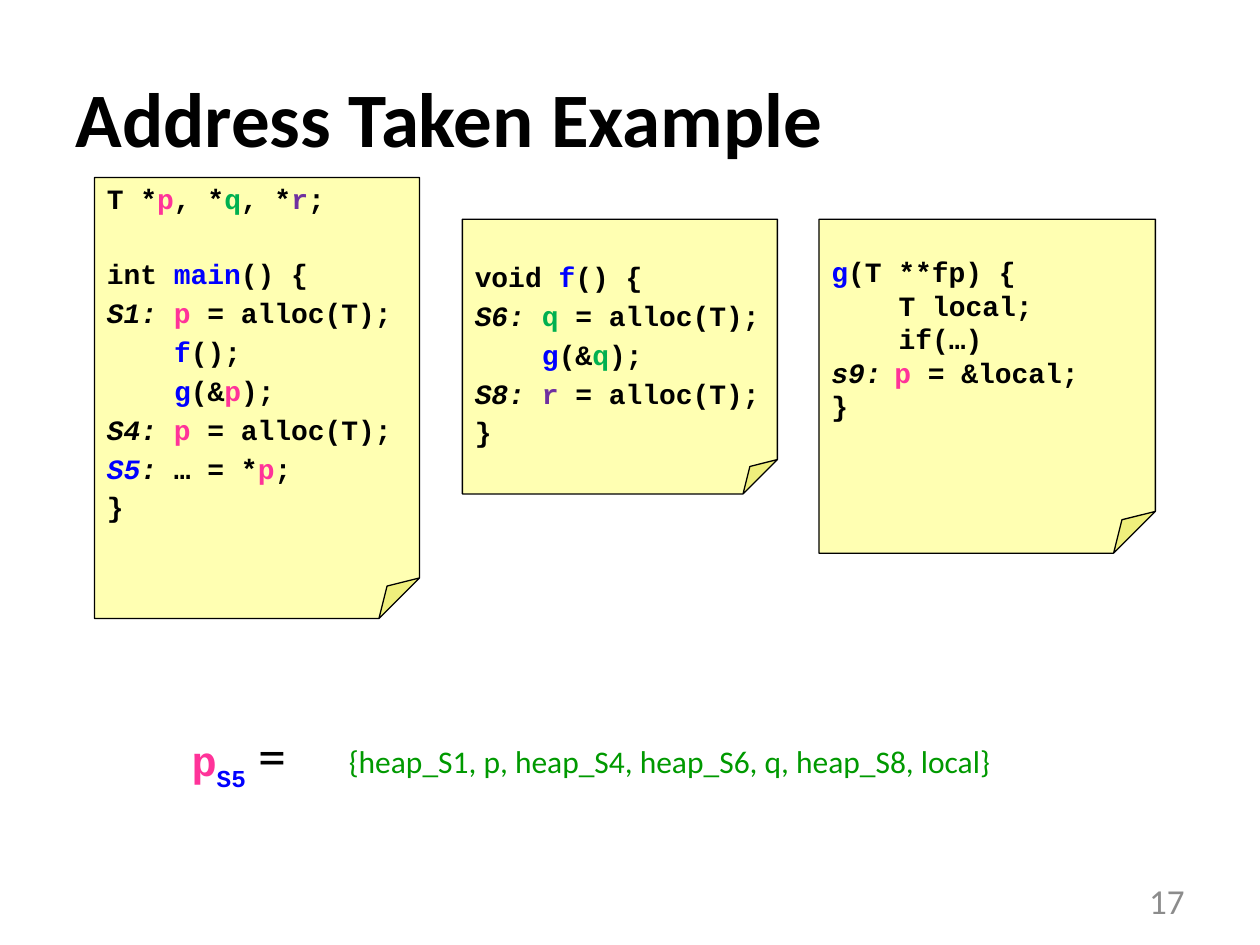
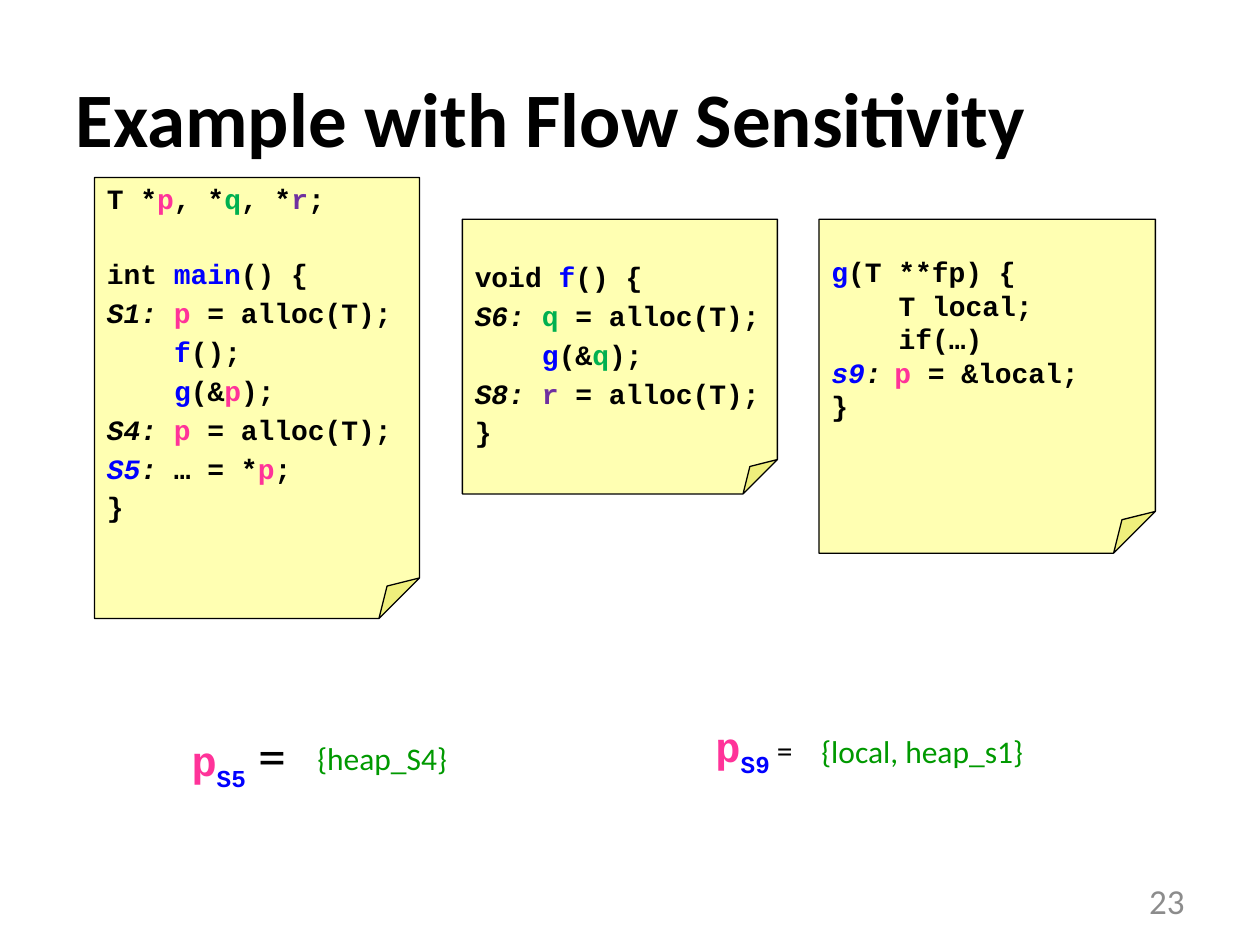
import pptx
import pptx.util
import pptx.dml.color
import pptx.enum.shapes
import pptx.enum.text
import pptx.oxml
import pptx.oxml.ns

Inches, Pt = pptx.util.Inches, pptx.util.Pt
RGBColor = pptx.dml.color.RGBColor
ALIGN, ANCHOR = pptx.enum.text.PP_ALIGN, pptx.enum.text.MSO_ANCHOR
FOLD = pptx.enum.shapes.MSO_SHAPE.FOLDED_CORNER
NS = pptx.oxml.ns.nsdecls("a")

BLACK = RGBColor(0x00, 0x00, 0x00)
BLUE = RGBColor(0x00, 0x00, 0xFF)
PINK = RGBColor(0xFF, 0x33, 0x99)
GREEN = RGBColor(0x00, 0xB0, 0x50)
VIOLET = RGBColor(0x70, 0x30, 0xA0)
YELLOW = RGBColor(0xFF, 0xFF, 0x00)
LEAF = RGBColor(0x00, 0x99, 0x00)
GREY = RGBColor(0x8C, 0x8C, 0x8C)
SANS, MONO = "Calibri", "Courier New"

# Between bars, the first letter of a code run names its colour and slant
STYLES = {"P": (PINK, False), "G": (GREEN, False), "V": (VIOLET, False),
          "B": (BLUE, False), "I": (BLACK, True), "J": (BLUE, True)}
CELL = 0.6 * 16 / 72  # width of one code character, in inches

MAIN = [  # columns of indent, points before, code
    (0, 3, "T *|Pp|, *|Gq|, *|Vr|;"),
    (0, 24, "int |Bmain|() {"),
    (0, 3, "|IS1: ||Pp| = alloc(T);"),
    (4, 3, "|Bf|();"),
    (4, 3, "|Bg|(&|Pp|);"),
    (0, 3, "|IS4: ||Pp| = alloc(T);"),
    (0, 3, "|JS5||I: |… = *|Pp|;"),
    (0, 3, "}"),
]
CALL = [
    (0, 3, "void |Bf|() {"),
    (0, 3, "|IS6: ||Gq| = alloc(T);"),
    (4, 3, "|Bg|(&|Gq|);"),
    (0, 3, "|IS8: ||Vr| = alloc(T);"),
    (0, 3, "}"),
]
STORE = [
    (0, 0, "|Bg|(T **fp) {"),
    (4, 0, "T local;"),
    (4, 0, "if(…)"),
    (0, 0, "{mark}\t|Pp| = &local;"),
    (0, 0, "}"),
]

NOTES = [  # left, top, width, height, text width, text height, top inset, code
    (0.75, 1.41, 2.58, 3.5, 2.75, 2.86, 0.05, MAIN),
    (3.67, 1.74, 2.5, 2.18, 2.5, 1.93, 0.34, CALL),
    (6.5, 1.74, 2.67, 2.65, 2.67, 1.72, 0.3, STORE),
]

SLIDES = [
    {"title": "Address Taken Example", "page": "17", "mark": "|Is9:|",
     "width": 8.08, "extra": False,
     "sets": [(2.67, 5.84, 5.75,
               "{heap_S1, p, heap_S4, heap_S6, q, heap_S8, local}")]},
    {"title": "Example with Flow Sensitivity", "page": "23",
     "mark": "|Js9||I:|", "width": 2.42, "extra": True,
     "sets": [(2.42, 5.82, 1.24, "{heap_S4}"),
              (6.42, 5.76, 1.82, "{local, heap_s1}")]},
]


def add_label(slide, box, text, size, color):
    """Add a one-line text box in the sans font."""
    label = slide.shapes.add_textbox(*map(Inches, box))
    label.text_frame.word_wrap = True
    par = label.text_frame.paragraphs[0]
    par.text = text
    par.font.name, par.font.size = SANS, Pt(size)
    par.font.color.rgb = color
    return label


def add_sum(par, sub, size):
    """Write p with a subscript and an equals sign."""
    props = par._p.get_or_add_pPr()
    props.set("marL", str(Inches(0.38)))
    props.set("indent", str(Inches(-0.38)))
    props.append(pptx.oxml.parse_xml(f"<a:buNone {NS}/>"))
    for text, font, points, color in (("p", MONO, 24, PINK),
                                      (sub, MONO, 24, BLUE),
                                      (" =", SANS, size, BLACK)):
        run = par.add_run()
        run.text = text
        run.font.name, run.font.size = font, Pt(points)
        run.font.bold = font == MONO
        run.font.color.rgb = color
        if text == sub:
            run.font._element.set("baseline", "-25000")


deck = pptx.Presentation()
deck.slide_width, deck.slide_height = Inches(10), Inches(7.5)

for page in SLIDES:
    slide = deck.slides.add_slide(deck.slide_layouts[1])
    title, body = slide.placeholders

    # Title
    title.left, title.top = Inches(0.5), Inches(0.3)
    title.width, title.height = Inches(9), Inches(1.25)
    title.text_frame.vertical_anchor = ANCHOR.MIDDLE
    par = title.text_frame.paragraphs[0]
    par.text = page["title"]
    par.alignment = ALIGN.LEFT
    par.font.name, par.font.size, par.font.bold = SANS, Pt(44), True
    par.font.color.rgb = BLACK

    # Points-to question at S5
    body.left, body.top = Inches(1.42), Inches(5.67)
    body.width, body.height = Inches(page["width"]), Inches(1)
    add_sum(body.text_frame.paragraphs[0], "S5", 32)

    # Page number
    label = add_label(slide, (7.17, 6.95, 2.33, 0.4), page["page"], 20, GREY)
    label.text_frame.vertical_anchor = ANCHOR.MIDDLE
    label.text_frame.paragraphs[0].alignment = ALIGN.RIGHT

    # Code notes
    for left, top, width, height, wide, high, inset, code in NOTES:
        group = slide.shapes.add_group_shape()
        note = group.shapes.add_shape(
            FOLD, *map(Inches, (left, top, width, height)))
        note.shadow.inherit = False
        shape = note._element.spPr
        guides = shape.find(".//" + pptx.oxml.ns.qn("a:avLst"))
        guides[:] = [pptx.oxml.parse_xml(
            f'<a:gd {NS} name="adj" fmla="val 12500"/>')]
        note.fill.solid()
        note.fill.fore_color.rgb = YELLOW
        tint = shape.find(".//" + pptx.oxml.ns.qn("a:srgbClr"))
        tint.append(pptx.oxml.parse_xml(f'<a:alpha {NS} val="30000"/>'))
        note.line.color.rgb, note.line.width = BLACK, Pt(0.75)

        box = group.shapes.add_textbox(
            *map(Inches, (left, top - 0.02, wide, high)))
        frame = box.text_frame
        frame.word_wrap = True
        frame.margin_top = Inches(inset)
        for row, (cols, before, line) in enumerate(code):
            par = frame.add_paragraph() if row else frame.paragraphs[0]
            par.space_before = Pt(before)
            par.font.name, par.font.size, par.font.bold = MONO, Pt(16), True
            props = par._p.get_or_add_pPr()
            props.set("marL", str(Inches(cols * CELL)))
            props.set("indent", "0")
            if "\t" in line:
                stop = Inches(7 * CELL)
                props.find(pptx.oxml.ns.qn("a:defRPr")).addprevious(
                    pptx.oxml.parse_xml(
                        f'<a:tabLst {NS}><a:tab pos="{stop}" algn="l"/>'
                        "</a:tabLst>"))
            line = line.replace("{mark}", page["mark"])
            for spot, piece in enumerate(line.split("|")):
                if not piece:
                    continue
                color, slant = BLACK, False
                if spot % 2:
                    color, slant = STYLES[piece[0]]
                    piece = piece[1:]
                run = par.add_run()
                run.text = piece
                run.font.italic = slant
                run.font.color.rgb = color

    # Points-to question at S9
    if page["extra"]:
        box = slide.shapes.add_textbox(
            *map(Inches, (5.58, 5.67, 2.42, 1)))
        box.text_frame.word_wrap = True
        par = box.text_frame.paragraphs[0]
        par.space_before = Pt(5)
        add_sum(par, "S9", 18)

    # Points-to sets
    for left, top, width, text in page["sets"]:
        add_label(slide, (left, top, width, 0.4), text, 18, LEAF)

deck.save("out.pptx")
